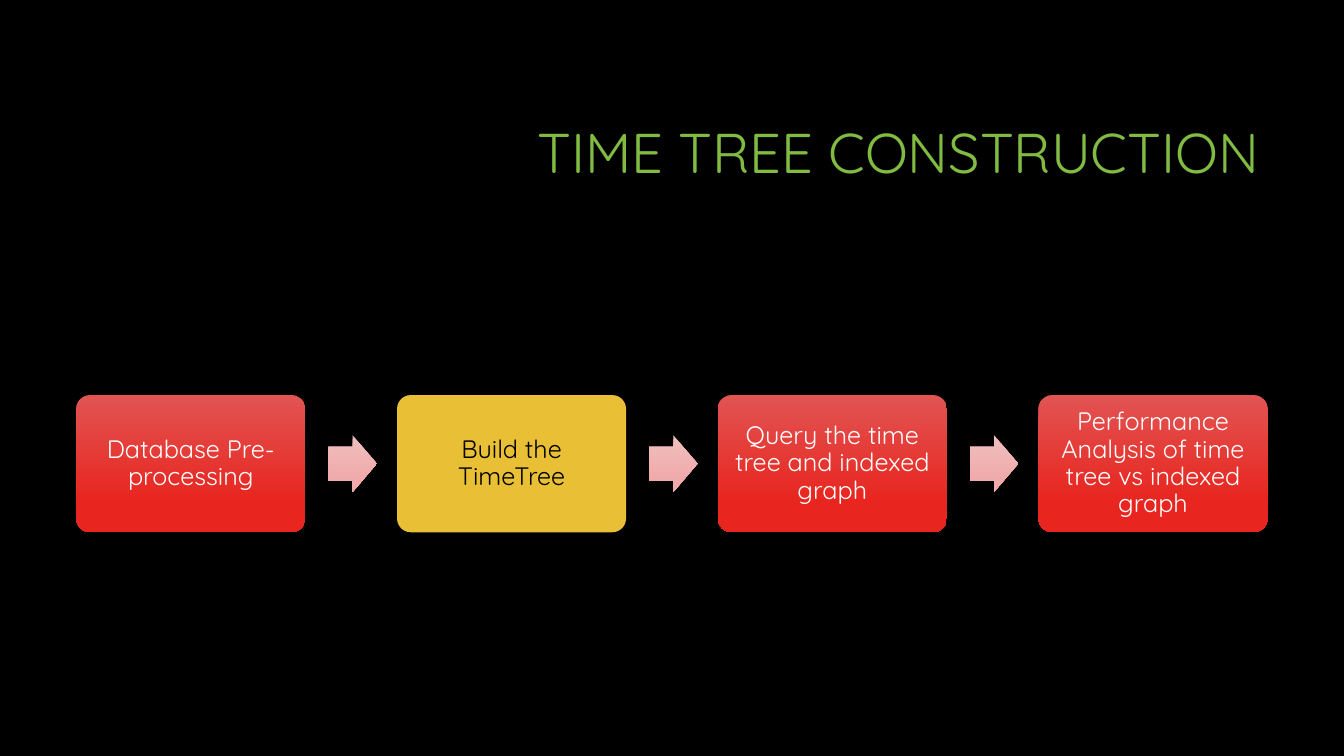
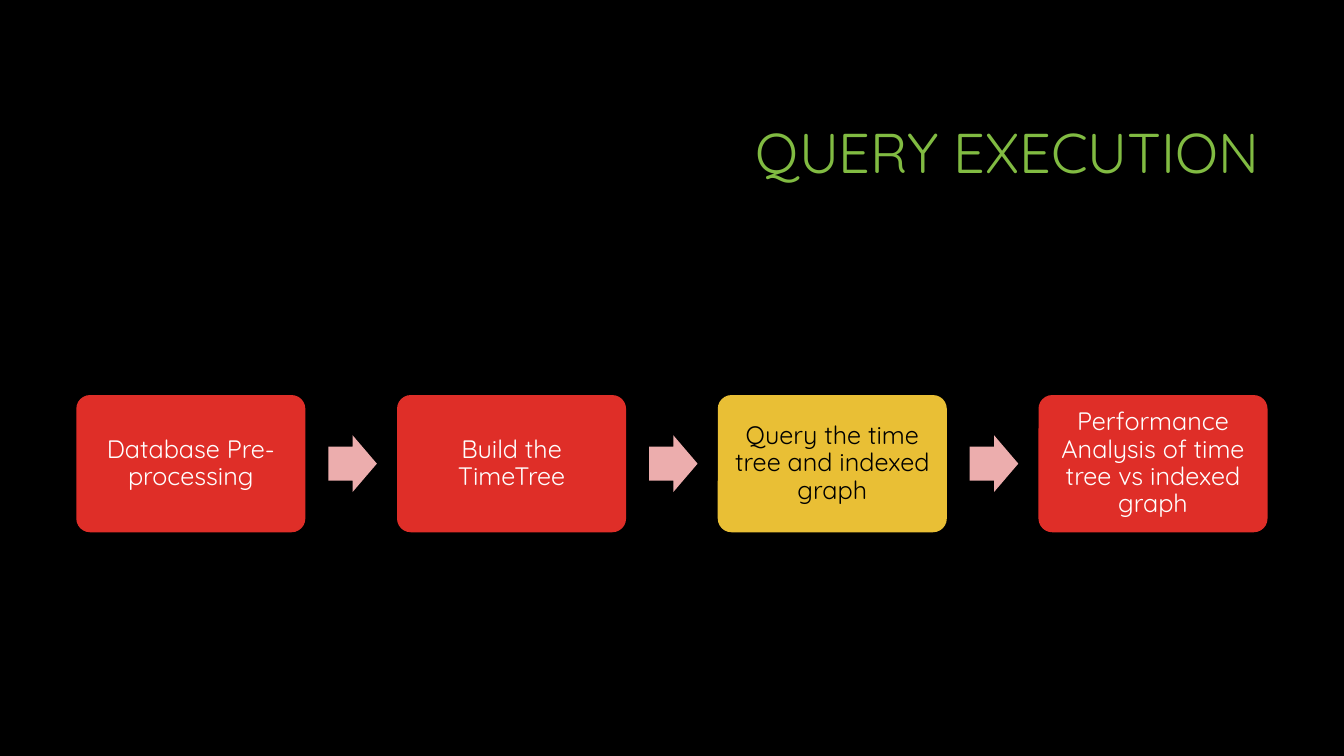
from pptx import Presentation
from pptx.dml.color import RGBColor
from pptx.enum.shapes import MSO_SHAPE
from pptx.enum.text import MSO_ANCHOR, MSO_AUTO_SIZE, PP_ALIGN
from pptx.util import Pt

BLACK = RGBColor(0x00, 0x00, 0x00)
WHITE = RGBColor(0xFF, 0xFF, 0xFF)
GREEN = RGBColor(0x81, 0xBB, 0x42)
YELLOW = RGBColor(0xE9, 0xBF, 0x35)
RED = RGBColor(0xDF, 0x2E, 0x28)
RED_TOP = RGBColor(0xE2, 0x54, 0x52)
RED_BOTTOM = RGBColor(0xE8, 0x25, 0x1F)
PINK = RGBColor(0xEC, 0xAD, 0xAD)
PINK_TOP = RGBColor(0xF0, 0xBF, 0xBF)
PINK_BOTTOM = RGBColor(0xF0, 0xAA, 0xAA)

STEPS = [
    "Database Pre-processing",
    "Build the TimeTree",
    "Query the time tree and indexed graph",
    "Performance Analysis of time tree vs indexed graph",
]
SLIDES = [
    {"title": "TIME TREE CONSTRUCTION", "current": 1,
     "box": (RED_TOP, RED_BOTTOM), "arrow": (PINK_TOP, PINK_BOTTOM)},
    {"title": "QUERY EXECUTION", "current": 2,
     "box": (RED,), "arrow": (PINK,)},
]

FONT = "Quicksand"
GRADIENT_END = 0.78
TITLE_PLACE = {"left": Pt(228.2), "top": Pt(60.5), "width": Pt(678.2), "height": Pt(101.5)}
TITLE_TEXT = {"size": Pt(40), "alignment": PP_ALIGN.RIGHT}
STEP_TEXT = {"size": Pt(18), "alignment": PP_ALIGN.CENTER}
STEP_FRAME = {f"margin_{side}": Pt(5) for side in ("left", "top", "right", "bottom")}
FIRST_LEFT, PITCH = 54.5, 229.1
BOX_TOP, BOX_WIDTH, BOX_HEIGHT = 282.2, 163.6, 98
ARROW_OFFSET, ARROW_WIDTH, ARROW_HEIGHT = 180, 34.7, 40.6
ARROW_TOP = BOX_TOP + (BOX_HEIGHT - ARROW_HEIGHT) / 2


def set_attributes(target, values):
    for name, value in values.items():
        setattr(target, name, value)


def write_text(shape, text, color, style, frame_values):
    frame = shape.text_frame
    set_attributes(frame, {
        "text": text, "word_wrap": True, "auto_size": MSO_AUTO_SIZE.NONE,
        "vertical_anchor": MSO_ANCHOR.MIDDLE, **frame_values})
    paragraph = frame.paragraphs[0]
    set_attributes(paragraph, {"alignment": style["alignment"], "line_spacing": 0.9})
    font = paragraph.runs[0].font
    set_attributes(font, {"name": FONT, "size": style["size"]})
    font.color.rgb = color


def fill_shape(shape, colors):
    if len(colors) == 1:
        shape.fill.solid()
        shape.fill.fore_color.rgb = colors[0]
        return
    shape.fill.gradient()
    shape.fill.gradient_angle = 270
    for stop, color, position in zip(shape.fill.gradient_stops, colors, (0, GRADIENT_END)):
        stop.color.rgb = color
        stop.position = position


def add_plain_shape(slide, kind, place, adjustments, colors):
    shape = slide.shapes.add_shape(kind, *map(Pt, place))
    for index, value in enumerate(adjustments):
        shape.adjustments[index] = value
    fill_shape(shape, colors)
    shape.line.fill.background()
    shape.shadow.inherit = False
    return shape


def add_process(slide, content):
    for index, step in enumerate(STEPS):
        left = FIRST_LEFT + index * PITCH
        is_current = index == content["current"]
        box = add_plain_shape(
            slide, MSO_SHAPE.ROUNDED_RECTANGLE, (left, BOX_TOP, BOX_WIDTH, BOX_HEIGHT),
            (0.1,), (YELLOW,) if is_current else content["box"])
        write_text(box, step, BLACK if is_current else WHITE, STEP_TEXT, STEP_FRAME)
        if index < len(STEPS) - 1:
            add_plain_shape(
                slide, MSO_SHAPE.RIGHT_ARROW,
                (left + ARROW_OFFSET, ARROW_TOP, ARROW_WIDTH, ARROW_HEIGHT),
                (0.6, 0.5), content["arrow"])


presentation = Presentation()
set_attributes(presentation, {"slide_width": Pt(960), "slide_height": Pt(540)})
background = presentation.slide_master.background.fill
background.solid()
background.fore_color.rgb = BLACK
title_only = presentation.slide_layouts.get_by_name("Title Only")

for content in SLIDES:
    slide = presentation.slides.add_slide(title_only)
    title = slide.shapes.title
    set_attributes(title, TITLE_PLACE)
    write_text(title, content["title"], GREEN, TITLE_TEXT, {})
    add_process(slide, content)

presentation.save("out.pptx")
